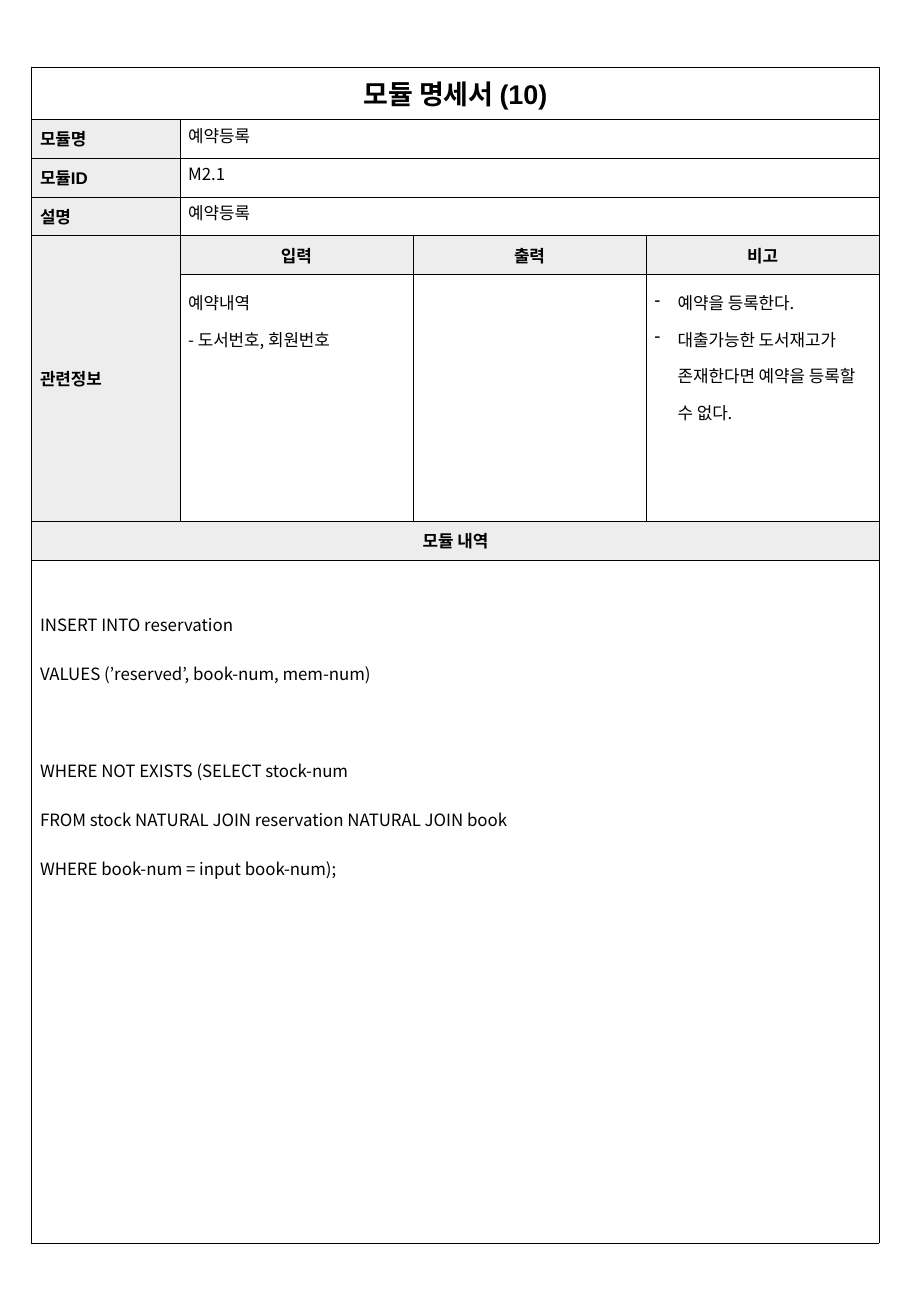
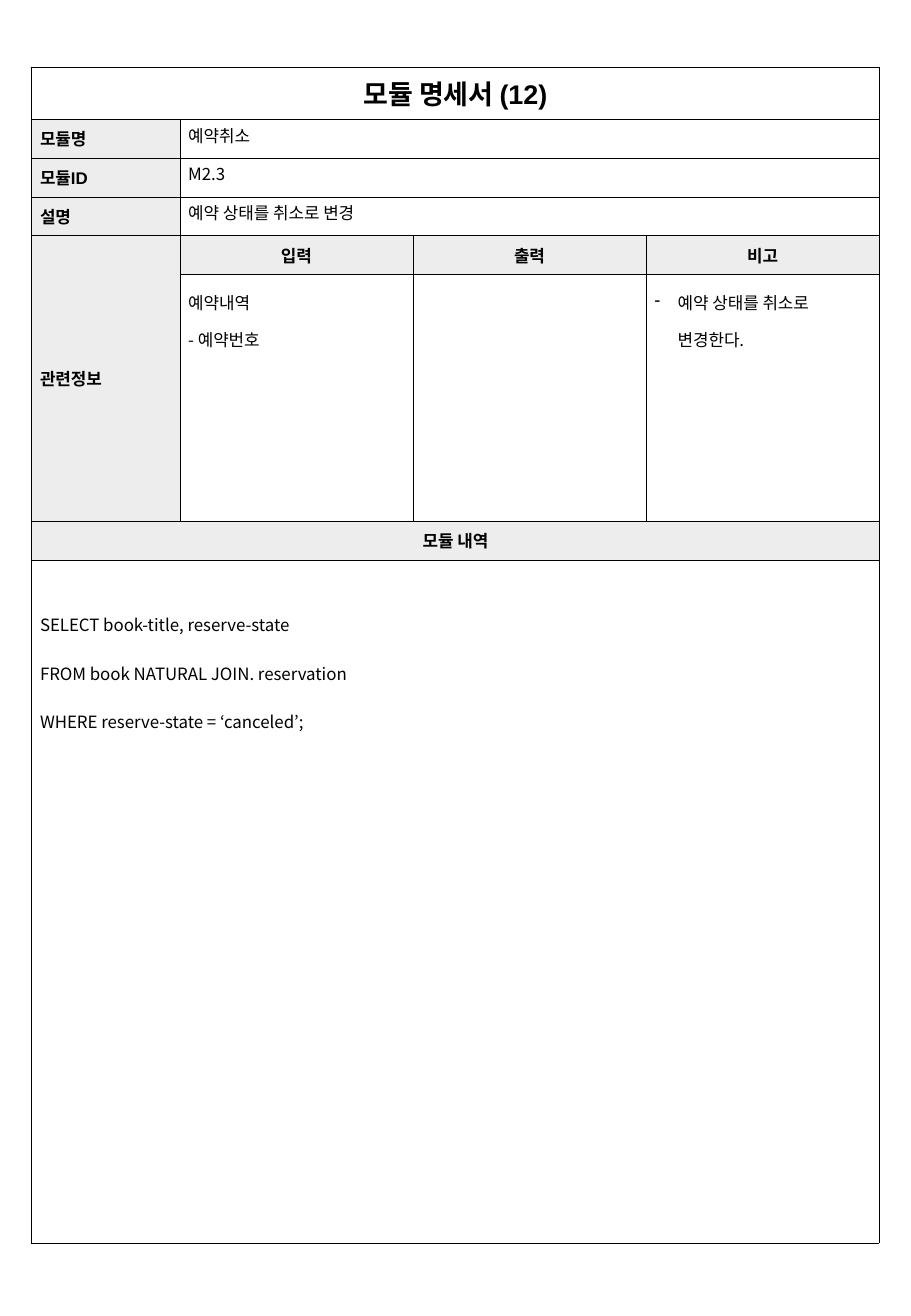
from dataclasses import dataclass

from pptx import Presentation
from pptx.dml.color import RGBColor
from pptx.enum.text import MSO_ANCHOR, PP_ALIGN
from pptx.oxml import parse_xml
from pptx.oxml.ns import nsdecls, qn
from pptx.slide import Slide
from pptx.table import Table, _Cell
from pptx.util import Inches, Pt

# Shared look
BLACK = RGBColor(0x00, 0x00, 0x00)
WHITE = RGBColor(0xFF, 0xFF, 0xFF)
LABEL_GRAY = RGBColor(0xED, 0xED, 0xED)
HEADING_FONT = "Arial"
BODY_FONT = "Noto Sans CJK KR"
BORDER = Pt(0.25)
SIDE_MARGIN, EDGE_MARGIN = Inches(0.07), Inches(0.03)
BULLET_INDENT = Inches(0.19)

# Shared form layout
COLUMN_WIDTHS = (1.22, 1.92, 1.92, 1.92)
ROW_HEIGHTS = (0.43, 0.32, 0.32, 0.32, 0.32, 2.03, 0.32, 5.62)
LAST_COLUMN = len(COLUMN_WIDTHS) - 1
FIELD_LABELS = ("모듈명", "모듈ID", "설명")
INFO_HEADINGS = ("입력", "출력", "비고")
INFO_HEADING_ROW, INFO_ROW, DETAIL_HEADING_ROW, DETAIL_ROW = 4, 5, 6, 7


@dataclass(frozen=True)
class TextStyle:
    font: str = BODY_FONT
    size: float = 10
    bold: bool = False
    align: PP_ALIGN = PP_ALIGN.LEFT
    line_spacing: float = 1.0
    bulleted: bool = False


TITLE = TextStyle(HEADING_FONT, 16, True, PP_ALIGN.CENTER)
LABEL = TextStyle(HEADING_FONT, bold=True)
HEADING = TextStyle(HEADING_FONT, bold=True, align=PP_ALIGN.CENTER)
VALUE = TextStyle()
INPUT = TextStyle(line_spacing=1.5)
REMARK = TextStyle(line_spacing=1.5, bulleted=True)
QUERY = TextStyle(line_spacing=2.0)


@dataclass(frozen=True)
class Module:
    number: int
    fields: tuple[str, str, str]
    inputs: tuple[str, ...]
    remarks: tuple[str, ...]
    query_blocks: tuple[tuple[str, ...], ...]


MODULES = (
    Module(
        10,
        ("예약등록", "M2.1", "예약등록"),
        ("예약내역", "- 도서번호, 회원번호"),
        ("예약을 등록한다.", "대출가능한 도서재고가 존재한다면 예약을 등록할 수 없다."),
        (
            ("INSERT INTO reservation",
             "VALUES (’reserved’, book-num, mem-num)"),
            ("WHERE NOT EXISTS (SELECT stock-num",
             "FROM stock NATURAL JOIN reservation NATURAL JOIN book",
             "WHERE book-num = input book-num);"),
        ),
    ),
    Module(
        12,
        ("예약취소", "M2.3", "예약 상태를 취소로 변경"),
        ("예약내역", "- 예약번호"),
        ("예약 상태를 취소로 변경한다.",),
        (
            ("SELECT book-title, reserve-state",
             "FROM book NATURAL JOIN. reservation",
             "WHERE reserve-state = ‘canceled’;"),
        ),
    ),
)


def format_cell(cell: _Cell) -> None:
    """Give a cell its margins, thin black borders and white fill."""
    cell.margin_left = cell.margin_right = SIDE_MARGIN
    cell.margin_top = cell.margin_bottom = EDGE_MARGIN
    properties = cell._tc.get_or_add_tcPr()
    for side in ("lnL", "lnR", "lnT", "lnB"):
        properties.append(parse_xml(
            f'<a:{side} {nsdecls("a")} w="{BORDER}"><a:solidFill>'
            f'<a:srgbClr val="{BLACK}"/></a:solidFill></a:{side}>'))
    cell.fill.solid()
    cell.fill.fore_color.rgb = WHITE


def write_lines(cell: _Cell, lines: tuple[str, ...], style: TextStyle) -> None:
    frame = cell.text_frame
    for index, line in enumerate(lines):
        paragraph = frame.add_paragraph() if index else frame.paragraphs[0]
        paragraph.alignment = style.align
        paragraph.line_spacing = style.line_spacing
        if style.bulleted:
            properties = paragraph._p.get_or_add_pPr()
            properties.set("marL", str(BULLET_INDENT))
            properties.set("indent", str(-BULLET_INDENT))
            properties.append(parse_xml(f'<a:buChar {nsdecls("a")} char="-"/>'))
        run = paragraph.add_run()
        run.text = line
        run.font.name = style.font
        run.font.size = Pt(style.size)
        run.font.bold = style.bold
        run.font.color.rgb = BLACK
        east_asian = run._r.get_or_add_rPr().makeelement(
            qn("a:ea"), {"typeface": BODY_FONT})
        run._r.rPr.append(east_asian)


def write_label(cell: _Cell, text: str, style: TextStyle,
                fill: RGBColor = LABEL_GRAY) -> None:
    cell.vertical_anchor = MSO_ANCHOR.MIDDLE
    cell.fill.fore_color.rgb = fill
    write_lines(cell, (text,), style)


def add_form(slide: Slide) -> Table:
    """Add the empty form with its merged cells."""
    form = slide.shapes.add_table(
        len(ROW_HEIGHTS), len(COLUMN_WIDTHS), Inches(0.26), Inches(0.55),
        Inches(sum(COLUMN_WIDTHS)), Inches(sum(ROW_HEIGHTS))).table
    form.first_row = form.horz_banding = False
    for column, width in zip(form.columns, COLUMN_WIDTHS):
        column.width = Inches(width)
    for row, height in zip(form.rows, ROW_HEIGHTS):
        row.height = Inches(height)
    for cell in form.iter_cells():
        format_cell(cell)
    for row in (0, DETAIL_HEADING_ROW, DETAIL_ROW):
        form.cell(row, 0).merge(form.cell(row, LAST_COLUMN))
    for row in range(1, len(FIELD_LABELS) + 1):
        form.cell(row, 1).merge(form.cell(row, LAST_COLUMN))
    form.cell(INFO_HEADING_ROW, 0).merge(form.cell(INFO_ROW, 0))
    return form


def write_query(cell: _Cell, blocks: tuple[tuple[str, ...], ...]) -> None:
    """Write the statements, one line's gap ahead of each block."""
    cell.margin_top = Inches(0.23)
    write_lines(cell, tuple(line for block in blocks for line in block), QUERY)
    block_start = 0
    for block in blocks[:-1]:
        block_start += len(block)
        cell.text_frame.paragraphs[block_start].space_before = Pt(29)


def draw_module(slide: Slide, module: Module) -> None:
    form = add_form(slide)

    # Title and identification
    write_label(form.cell(0, 0), f"모듈 명세서 ({module.number})", TITLE, WHITE)
    for row, (label, value) in enumerate(zip(FIELD_LABELS, module.fields), 1):
        write_label(form.cell(row, 0), label, LABEL)
        write_lines(form.cell(row, 1), (value,), VALUE)

    # Related information
    write_label(form.cell(INFO_HEADING_ROW, 0), "관련정보", LABEL)
    for column, heading in enumerate(INFO_HEADINGS, 1):
        write_label(form.cell(INFO_HEADING_ROW, column), heading, HEADING)
    write_lines(form.cell(INFO_ROW, 1), module.inputs, INPUT)
    write_lines(form.cell(INFO_ROW, LAST_COLUMN), module.remarks, REMARK)

    # Module details
    write_label(form.cell(DETAIL_HEADING_ROW, 0), "모듈 내역", HEADING)
    write_query(form.cell(DETAIL_ROW, 0), module.query_blocks)


def main() -> None:
    deck = Presentation()
    deck.slide_width, deck.slide_height = Inches(7.5), Inches(10.83)
    blank_layout = deck.slide_layouts[6]
    for module in MODULES:
        draw_module(deck.slides.add_slide(blank_layout), module)
    deck.save("out.pptx")


if __name__ == "__main__":
    main()
